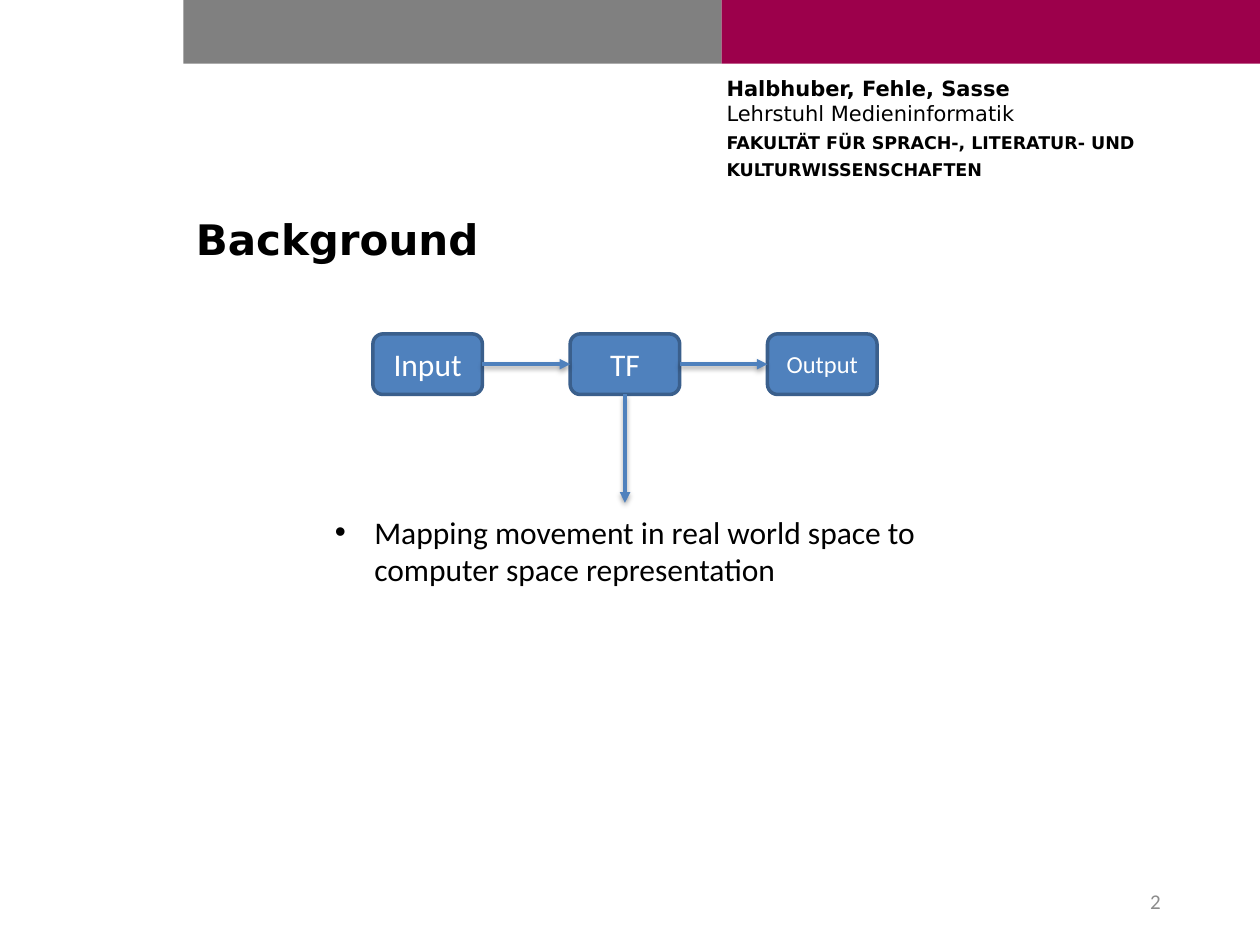
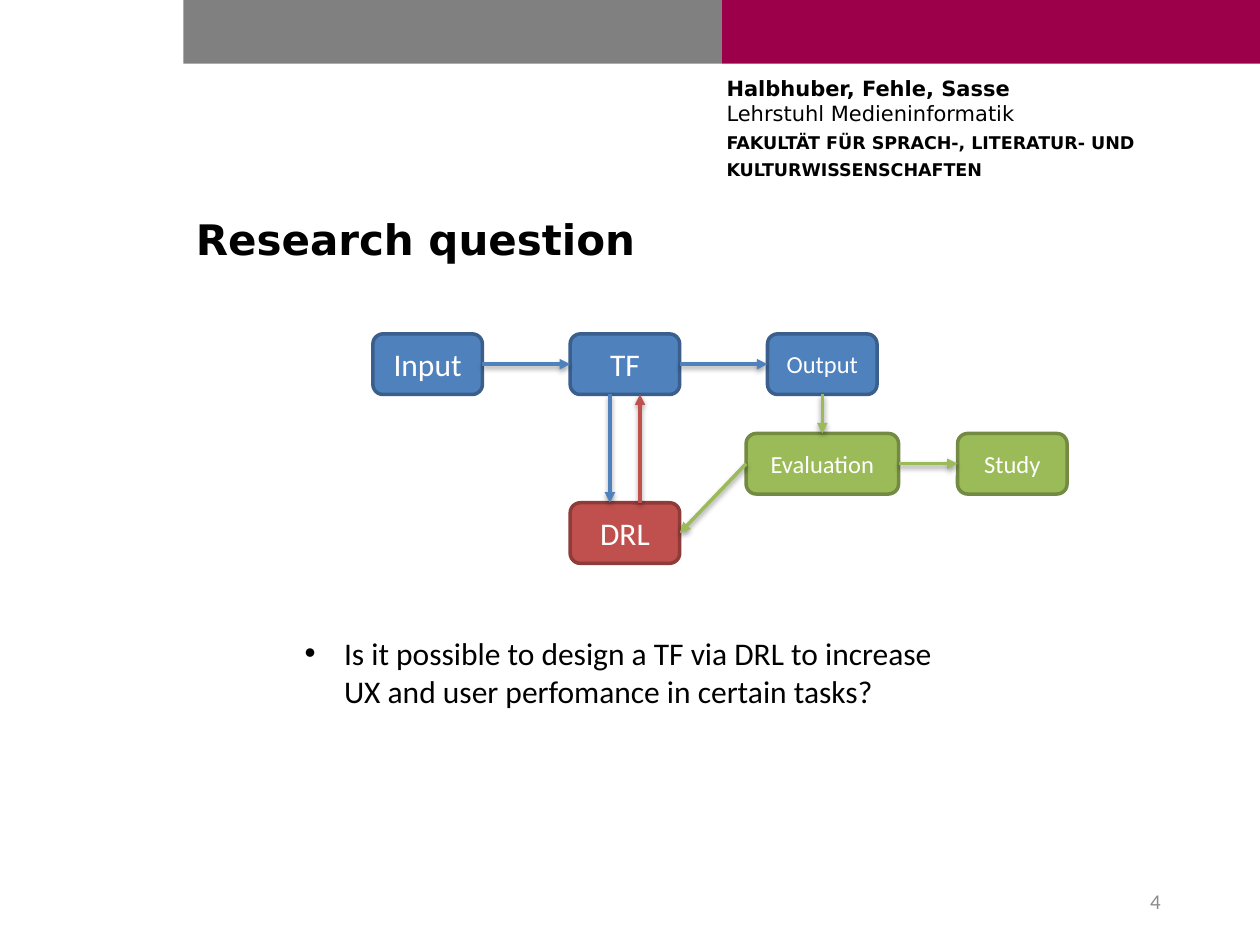
from lxml import etree
from pptx import Presentation
from pptx.dml.color import RGBColor
from pptx.enum import shapes, text
from pptx.oxml import ns
from pptx.util import Pt

# Content
COLORS = {"grey": "808080", "crimson": "9C004B", "black": "000000", "white": "FFFFFF",
          "number": "8C8C8C", "blue": "4F81BD", "blue edge": "3A5F8C", "red": "C0504D",
          "red edge": "8E3B39", "green": "9BBB59", "green edge": "738A42"}
HEADING_FONT, BODY_FONT = "DejaVu Sans", "Calibri"

# Each header paragraph holds lines of (text, size, bold)
HEADER = [
    [("Halbhuber, Fehle, Sasse", 12, True), ("Lehrstuhl Medieninformatik", 12, False)],
    [("FAKULTÄT FÜR SPRACH-, LITERATUR- UND", 10, True)],
    [("KULTURWISSENSCHAFTEN", 10, True)],
]

# Diagram grid: step name -> (left, top, width, colour, text size)
LEFT, PITCH, STEP_W, STEP_H = 213.1, 112.75, 62.6, 34.6
MAIN_TOP, EVALUATION_TOP, DRL_TOP = 190.8, 247.7, 287.3
TF_LEFT, OUTPUT_LEFT = LEFT + PITCH, LEFT + 2 * PITCH
EVALUATION_W = 87.1
STEPS = {
    "Input": (LEFT, MAIN_TOP, STEP_W, "blue", 18),
    "TF": (TF_LEFT, MAIN_TOP, STEP_W, "blue", 18),
    "Output": (OUTPUT_LEFT, MAIN_TOP, STEP_W, "blue", 14),
    "DRL": (TF_LEFT, DRL_TOP, STEP_W, "red", 18),
    "Evaluation": (OUTPUT_LEFT - (EVALUATION_W - STEP_W) / 2, EVALUATION_TOP,
                   EVALUATION_W, "green", 14),
    "Study": (547.2, EVALUATION_TOP, STEP_W, "green", 14),
}

# Arrows: (from step, side, to step, side, colour, sideways shift)
PIPELINE = [("Input", "right", "TF", "left", "blue", 0),
            ("TF", "right", "Output", "left", "blue", 0)]
SLIDES = [
    {"title": "Background", "number": "2", "steps": ["Input", "TF", "Output"],
     "arrows": PIPELINE + [("TF", "bottom", "DRL", "top", "blue", 0)],
     "bullet": "Mapping movement in real world space to computer space representation",
     "bullet at": (184.3, 289.4)},
    {"title": "Research question", "number": "4", "steps": list(STEPS),
     "arrows": PIPELINE + [
         ("TF", "bottom", "DRL", "top", "blue", -8.6),
         ("DRL", "top", "TF", "bottom", "red", 8.6),
         ("Output", "bottom", "Evaluation", "top", "green", 0),
         ("Evaluation", "left", "DRL", "right", "green", 0),
         ("Evaluation", "right", "Study", "left", "green", 0)],
     "bullet": "Is it possible to design a TF via DRL to increase UX and user perfomance "
               "in certain tasks?",
     "bullet at": (167, 358.6)},
]


def rgb(name):
    return RGBColor.from_string(COLORS[name])


def write(frame, paragraphs, font=BODY_FONT, color="black", align=text.PP_ALIGN.LEFT,
          anchor=text.MSO_ANCHOR.TOP, after=0, margin=None):
    """Fill a text frame with paragraphs of (text, size, bold) lines."""
    frame.word_wrap = True
    frame.vertical_anchor = anchor
    if margin is not None:
        frame.margin_left = frame.margin_right = Pt(margin)
        frame.margin_top = frame.margin_bottom = Pt(margin)
    for i, lines in enumerate(paragraphs):
        paragraph = frame.add_paragraph() if i else frame.paragraphs[0]
        paragraph.alignment, paragraph.space_after = align, Pt(after)
        for j, (words, size, bold) in enumerate(lines):
            if j:
                paragraph.add_line_break()
            run = paragraph.add_run()
            run.text = words
            run.font.name, run.font.size, run.font.bold = font, Pt(size), bold
            run.font.color.rgb = rgb(color)


def add_text(slide, box, paragraphs, **style):
    frame = slide.shapes.add_textbox(*map(Pt, box)).text_frame
    write(frame, paragraphs, **style)
    return frame


def add_block(slide, kind, box, fill, edge=None):
    block = slide.shapes.add_shape(kind, *map(Pt, box))
    block.shadow.inherit = False
    block.fill.solid()
    block.fill.fore_color.rgb = rgb(fill)
    if edge:
        block.line.color.rgb, block.line.width = rgb(edge), Pt(2)
    else:
        block.line.fill.background()
    return block


def add_step(slide, name):
    left, top, width, color, size = STEPS[name]
    step = add_block(slide, shapes.MSO_SHAPE.ROUNDED_RECTANGLE, (left, top, width, STEP_H),
                     color, color + " edge")
    write(step.text_frame, [[(name, size, False)]], color="white",
          align=text.PP_ALIGN.CENTER, anchor=text.MSO_ANCHOR.MIDDLE)


def side_point(name, side, shift):
    left, top, width = STEPS[name][:3]
    across, down = {"left": (0, .5), "right": (1, .5), "top": (.5, 0), "bottom": (.5, 1)}[side]
    return Pt(left + across * width + shift), Pt(top + down * STEP_H)


def add_arrow(slide, start, start_side, end, end_side, color, shift):
    arrow = slide.shapes.add_connector(
        shapes.MSO_CONNECTOR.STRAIGHT,
        *side_point(start, start_side, shift), *side_point(end, end_side, shift))
    arrow.line.color.rgb, arrow.line.width = rgb(color), Pt(2)
    etree.SubElement(arrow.line._get_or_add_ln(), ns.qn("a:tailEnd"), type="triangle")
    # Soft shadow straight below the line
    effects = etree.SubElement(arrow._element.spPr, ns.qn("a:effectLst"))
    shadow = etree.SubElement(effects, ns.qn("a:outerShdw"), blurRad=str(Pt(3.1)),
                              dist=str(Pt(1.6)), dir="5400000", rotWithShape="0")
    tint = etree.SubElement(shadow, ns.qn("a:srgbClr"), val=COLORS["black"])
    etree.SubElement(tint, ns.qn("a:alpha"), val="38000")


def add_bullet(slide, position, words):
    frame = add_text(slide, (*position, 396.7, 51), [[(words, 18, False)]])
    frame.auto_size = text.MSO_AUTO_SIZE.SHAPE_TO_FIT_TEXT
    props = frame.paragraphs[0]._p.get_or_add_pPr()
    props.set("marL", str(Pt(22.5)))
    props.set("indent", str(-Pt(22.5)))
    etree.SubElement(props, ns.qn("a:buFont"), typeface="Arial")
    etree.SubElement(props, ns.qn("a:buChar"), char="•")


def add_frame(slide, title, number):
    """Bands, header, title and page number shared by all slides."""
    band_left, band_width = 104.8, 307.6
    for i, color in enumerate(["grey", "crimson"]):
        add_block(slide, shapes.MSO_SHAPE.RECTANGLE,
                  (band_left + i * band_width, 0, band_width, 36.4), color)
    add_text(slide, (415.2, 43.2, 290.9, 67.7), HEADER, font=HEADING_FONT, after=3.5, margin=0)
    add_text(slide, (band_left, 118.3, 566, 54.7), [[(title, 24, True)]], font=HEADING_FONT)
    add_text(slide, (508.3, 500.5, 162, 28.8), [[(number, 12, False)]], color="number",
             align=text.PP_ALIGN.RIGHT, anchor=text.MSO_ANCHOR.MIDDLE)


def main():
    deck = Presentation()
    deck.slide_width, deck.slide_height = Pt(720), Pt(540)
    for content in SLIDES:
        slide = deck.slides.add_slide(deck.slide_layouts[6])
        add_frame(slide, content["title"], content["number"])
        for name in content["steps"]:
            add_step(slide, name)
        for arrow in content["arrows"]:
            add_arrow(slide, *arrow)
        add_bullet(slide, content["bullet at"], content["bullet"])
    deck.save("out.pptx")


if __name__ == "__main__":
    main()
